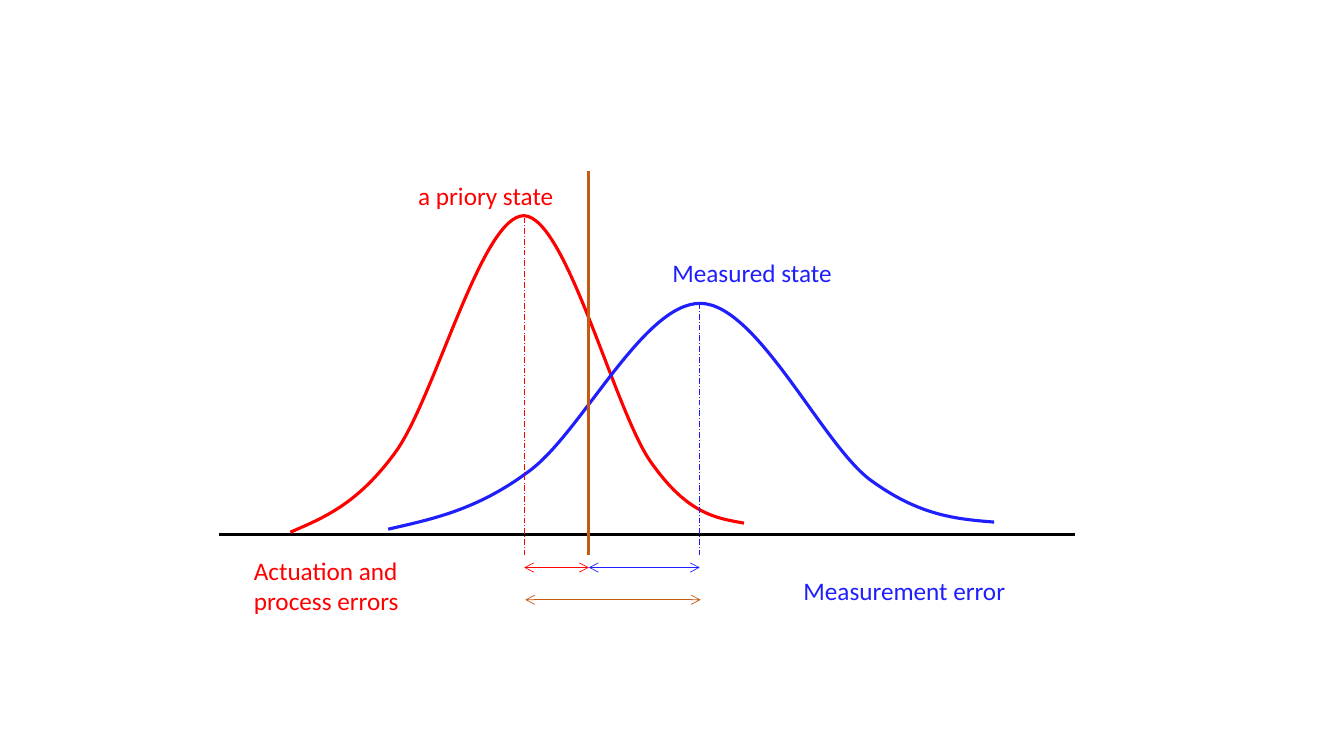
import collections

import lxml.etree
import pptx
import pptx.dml.color
import pptx.enum.dml
import pptx.enum.shapes
import pptx.enum.text
import pptx.oxml.ns
import pptx.util

Inches = pptx.util.Inches
qn = pptx.oxml.ns.qn
Box = collections.namedtuple("Box", "left top width height")

RED, BLUE, ORANGE, BLACK = "FF0000", "1F1FFD", "C55A11", "000000"
THICK, THIN = 2.25, 0.5

# Offsets in inches from the top left corner of the diagram
AXIS_Y, MARKER_BOTTOM = 3.6, 3.81
PRIOR_X, FUSED_X, MEASURED_X = 3.03, 3.67, 4.77
PRIOR_TOP, MEASURED_TOP = 0.44, 1.31
SHIFT_Y, TOTAL_SHIFT_Y = 3.93, 4.25

# Start point, then two controls and an end point for each Bezier segment
PRIOR_CURVE = [
    (0.71, 3.58),
    (1.03, 3.44), (1.37, 3.31), (1.75, 2.79),
    (2.14, 2.26), (2.61, 0.43), (3.03, 0.44),
    (3.45, 0.46), (3.93, 2.39), (4.29, 2.89),
    (4.65, 3.40), (4.93, 3.44), (5.21, 3.49),
]
MEASURED_CURVE = [
    (1.68, 3.55),
    (2.12, 3.45), (2.56, 3.36), (3.07, 2.98),
    (3.59, 2.61), (4.21, 1.30), (4.78, 1.31),
    (5.34, 1.32), (5.98, 2.70), (6.46, 3.06),
    (6.95, 3.42), (7.32, 3.45), (7.69, 3.48),
]
LABELS = [
    ("a priory state", Box(1.88, 0.04, 1.56, 0.4), RED),
    ("Measured state", Box(4.4, 0.8, 1.8, 0.4), BLUE),
    ("Measurement error", Box(5.7, 3.96, 2.23, 0.4), BLUE),
    ("Actuation and\nprocess errors", Box(0.25, 3.76, 1.7, 0.71), RED),
]


def rgb(color):
    return pptx.dml.color.RGBColor.from_string(color)


def style_line(line, color, weight):
    line.color.rgb = rgb(color)
    line.width = pptx.util.Pt(weight)


def add_line(slide, box, start, end, color, weight):
    connector = slide.shapes.add_connector(
        pptx.enum.shapes.MSO_CONNECTOR.STRAIGHT,
        Inches(box.left + start[0]), Inches(box.top + start[1]),
        Inches(box.left + end[0]), Inches(box.top + end[1]))
    style_line(connector.line, color, weight)
    lxml.etree.SubElement(connector._element.spPr, qn("a:effectLst"))
    return connector


def add_mean_line(slide, box, x, top, color):
    mean_line = add_line(slide, box, (x, MARKER_BOTTOM), (x, top), color, THIN)
    mean_line.line.dash_style = pptx.enum.dml.MSO_LINE.LONG_DASH_DOT


def add_shift_arrow(slide, box, x1, x2, y, color):
    """Draw a horizontal arrow with an open head at each end."""
    arrow = add_line(slide, box, (x1, y), (x2, y), color, THIN)
    outline = arrow.line._get_or_add_ln()
    for tag in ("a:headEnd", "a:tailEnd"):
        lxml.etree.SubElement(outline, qn(tag), type="arrow")


def bend_segments(curve, points):
    """Turn the straight segments between the knots into cubic Beziers."""
    straight_segments = list(curve._element.iter(qn("a:lnTo")))
    for index, straight in enumerate(straight_segments):
        bezier = lxml.etree.Element(qn("a:cubicBezTo"))
        for x, y in points[3 * index + 1:3 * index + 4]:
            lxml.etree.SubElement(bezier, qn("a:pt"),
                                  x=str(x - curve.left), y=str(y - curve.top))
        straight.getparent().replace(straight, bezier)


def add_bell_curve(slide, box, knots, color):
    points = [(Inches(box.left + x), Inches(box.top + y)) for x, y in knots]
    builder = slide.shapes.build_freeform(*points[0])
    builder.add_line_segments(points[3::3], close=False)
    curve = builder.convert_to_shape()
    bend_segments(curve, points)
    curve.shadow.inherit = False
    curve.fill.background()
    style_line(curve.line, color, THICK)


def add_label(slide, box, text, place, color):
    label = slide.shapes.add_textbox(
        Inches(box.left + place.left), Inches(box.top + place.top),
        Inches(place.width), Inches(place.height))
    frame = label.text_frame
    frame.word_wrap = False
    frame.auto_size = pptx.enum.text.MSO_AUTO_SIZE.SHAPE_TO_FIT_TEXT
    frame.text = text
    for paragraph in frame.paragraphs:
        for run in paragraph.runs:
            run.font.name = "Calibri"
            run.font.size = pptx.util.Pt(18)
            run.font.color.rgb = rgb(color)


def add_state_diagram(slide, box):
    add_line(slide, box, (0, AXIS_Y), (box.width, AXIS_Y), BLACK, THICK)
    add_bell_curve(slide, box, PRIOR_CURVE, RED)
    add_bell_curve(slide, box, MEASURED_CURVE, BLUE)
    add_line(slide, box, (FUSED_X, 0), (FUSED_X, MARKER_BOTTOM), ORANGE, THICK)
    add_mean_line(slide, box, PRIOR_X, PRIOR_TOP, RED)
    add_mean_line(slide, box, MEASURED_X, MEASURED_TOP, BLUE)
    add_shift_arrow(slide, box, PRIOR_X, FUSED_X, SHIFT_Y, RED)
    add_shift_arrow(slide, box, FUSED_X, MEASURED_X, SHIFT_Y, BLUE)
    add_shift_arrow(slide, box, PRIOR_X + 0.01, MEASURED_X + 0.01, TOTAL_SHIFT_Y, ORANGE)
    for text, place, color in LABELS:
        add_label(slide, box, text, place, color)


def main():
    presentation = pptx.Presentation()
    presentation.slide_width = Inches(13.33)
    presentation.slide_height = Inches(7.5)
    slide = presentation.slides.add_slide(presentation.slide_layouts[6])
    add_state_diagram(slide, Box(2.17, 1.7, 8.49, 4.47))
    presentation.save("out.pptx")


if __name__ == "__main__":
    main()
